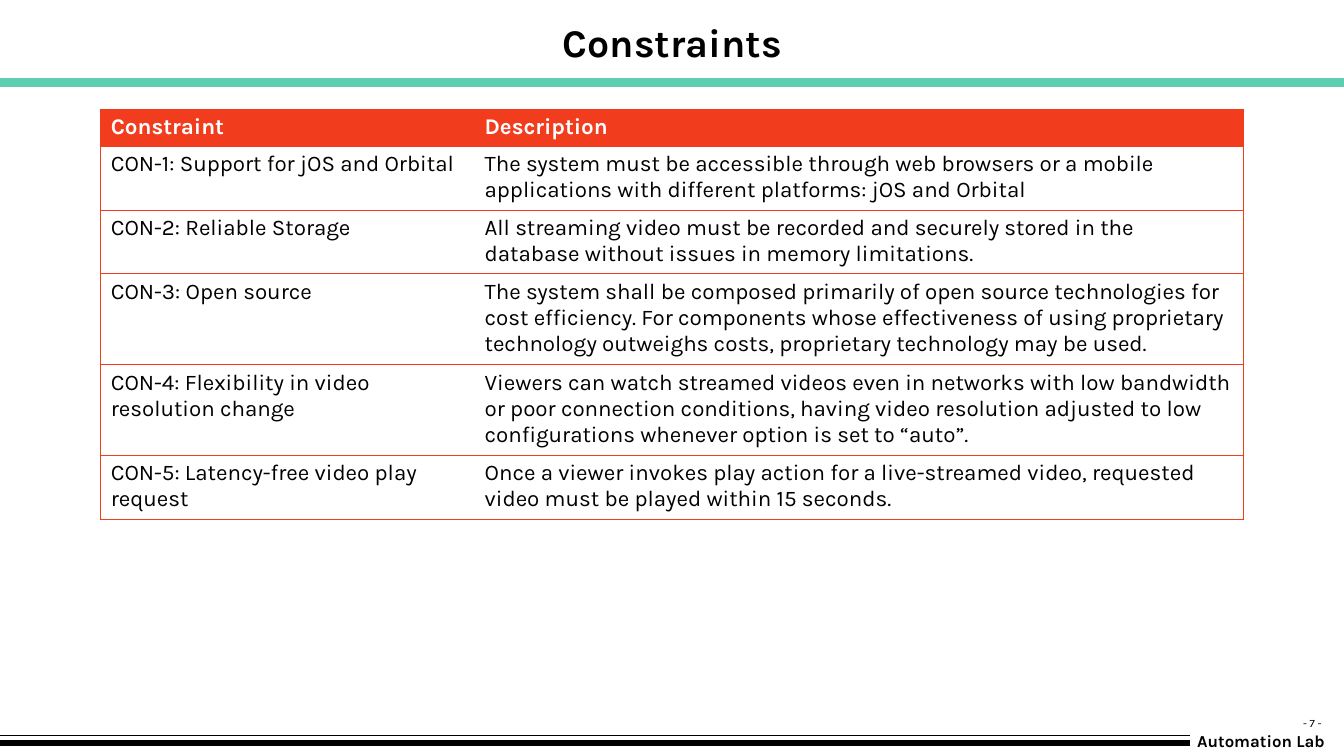
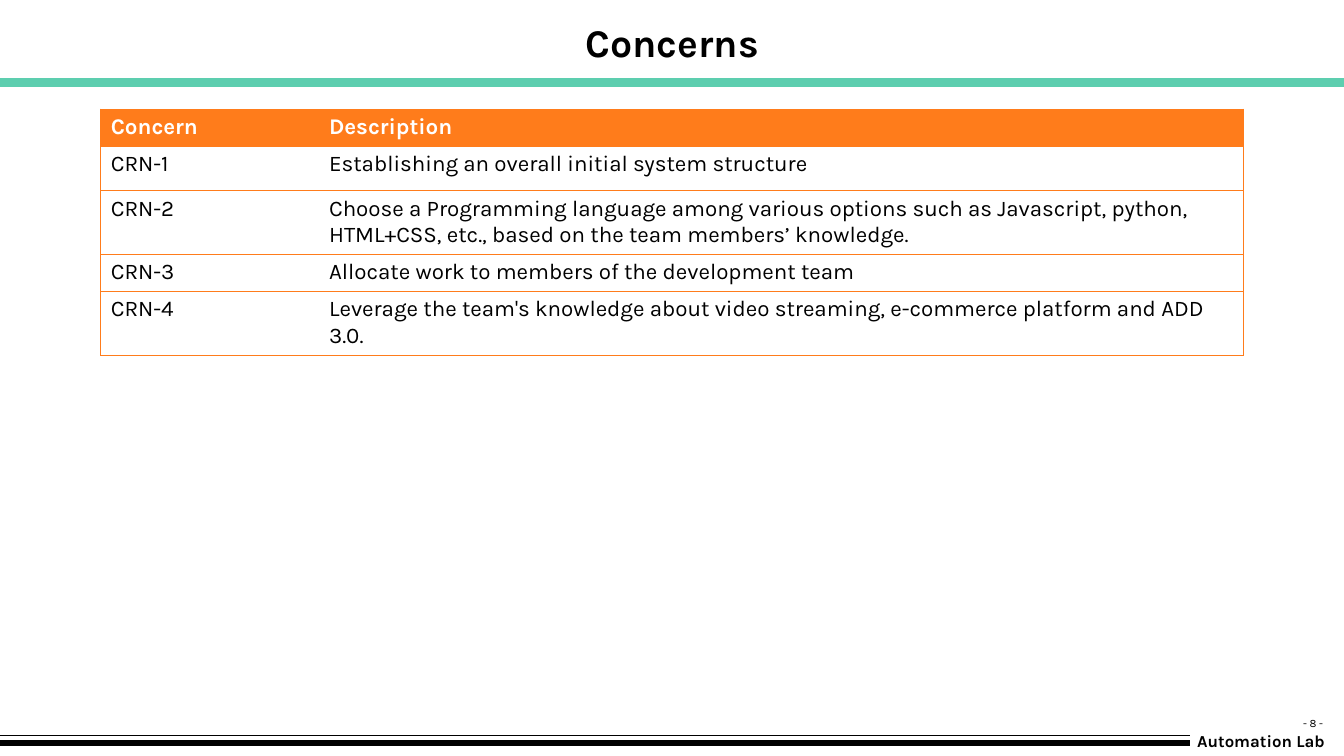
from lxml import etree
from pptx import Presentation
from pptx.dml.color import RGBColor
from pptx.enum.shapes import MSO_CONNECTOR
from pptx.enum.text import MSO_ANCHOR, PP_ALIGN
from pptx.oxml.ns import qn
from pptx.util import Cm, Pt

STRAIGHT = MSO_CONNECTOR.STRAIGHT
LEFT, CENTER = PP_ALIGN.LEFT, PP_ALIGN.CENTER
TOP, MIDDLE = MSO_ANCHOR.TOP, MSO_ANCHOR.MIDDLE

COLORS = {
    "ink": "000000",
    "paper": "FFFFFF",
    "band": "5DCEAF",
    "constraint": "F13C1E",
    "concern": "FF7C1B",
}
FONTS = {
    "title": {"name": "Karla", "size": Pt(28), "bold": True},
    "header": {"name": "Karla", "size": Pt(16), "bold": True},
    "body": {"name": "Karla", "size": Pt(16), "bold": False},
    "brand": {"name": "Karla", "size": Pt(12), "bold": True},
    "page": {"name": "Karla", "size": Pt(8), "bold": False},
}
SLIDE_WIDTH, SLIDE_HEIGHT = 33.87, 19.05
TABLE_LEFT, TABLE_TOP, TABLE_WIDTH = 2.54, 2.75, 28.79
LINE_HEIGHT, CELL_MARGINS = 0.66, 0.25
FOOTER_RULE_END = 30
BORDER_WIDTH = Pt(0.75)

CONSTRAINTS = [
    ("Constraint", "Description", 1),
    ("CON-1: Support for jOS and Orbital",
     "The system must be accessible through web browsers or a mobile "
     "applications with different platforms: jOS and Orbital", 2),
    ("CON-2: Reliable Storage",
     "All streaming video must be recorded and securely stored in the "
     "database without issues in memory limitations.", 2),
    ("CON-3: Open source",
     "The system shall be composed primarily of open source technologies for "
     "cost efficiency. For components whose effectiveness of using proprietary "
     "technology outweighs costs, proprietary technology may be used.", 3),
    ("CON-4: Flexibility in video resolution change",
     "Viewers can watch streamed videos even in networks with low bandwidth "
     "or poor connection conditions, having video resolution adjusted to low "
     "configurations whenever option is set to “auto”.", 3),
    ("CON-5: Latency-free video play request",
     "Once a viewer invokes play action for a live-streamed video, requested "
     "video must be played within 15 seconds.", 2),
]
CONCERNS = [
    ("Concern", "Description", 1),
    ("CRN-1", "Establishing an overall initial system structure", 1.32),
    ("CRN-2",
     "Choose a Programming language among various options such as Javascript, "
     "python, HTML+CSS, etc., based on the team members’ knowledge.", 2),
    ("CRN-3", "Allocate work to members of the development team", 1),
    ("CRN-4",
     "Leverage the team's knowledge about video streaming, e-commerce "
     "platform and ADD 3.0.", 2),
]


class Deck:
    def __init__(self):
        self.presentation = Presentation()
        self.presentation.slide_width = Cm(SLIDE_WIDTH)
        self.presentation.slide_height = Cm(SLIDE_HEIGHT)
        self.slide = None

    def color(self, name):
        return RGBColor.from_string(COLORS[name])

    def fill_text(self, frame, text, role, color="ink", align=LEFT):
        paragraph = frame.paragraphs[0]
        paragraph.alignment = align
        run = paragraph.add_run()
        run.text = text
        for attribute, value in FONTS[role].items():
            setattr(run.font, attribute, value)
        run.font.color.rgb = self.color(color)

    def text(self, box, text, role, align=LEFT, anchor=TOP, wrap=False):
        frame = self.slide.shapes.add_textbox(*map(Cm, box)).text_frame
        frame.word_wrap = wrap
        frame.vertical_anchor = anchor
        self.fill_text(frame, text, role, align=align)

    def rule(self, top, end, color, width):
        rule = self.slide.shapes.add_connector(
            STRAIGHT, Cm(0), Cm(top), Cm(end), Cm(top))
        rule.line.color.rgb = self.color(color)
        rule.line.width = Pt(width)
        etree.SubElement(rule._element.spPr, qn("a:effectLst"))

    def page(self, title, number):
        layout = self.presentation.slide_layouts[6]
        self.slide = self.presentation.slides.add_slide(layout)
        self.text((32.59, 17.93, 1.24, 0.61), f"- {number} -", "page")
        self.text((29.92, 18.29, 3.76, 0.76), "Automation Lab", "brand")
        self.rule(2.08, SLIDE_WIDTH, "band", 6)
        self.rule(18.72, FOOTER_RULE_END, "ink", 4.5)
        self.rule(18.54, FOOTER_RULE_END, "ink", 0.75)
        self.text((0.94, 0.25, 32, 1.6), title, "title", CENTER, MIDDLE, True)

    def borders(self, cell, visible, color):
        properties = cell._tc.get_or_add_tcPr()
        for side in "LRTB":
            line = etree.SubElement(
                properties, qn(f"a:ln{side}"), w=str(BORDER_WIDTH))
            if side in visible:
                fill = etree.SubElement(line, qn("a:solidFill"))
                etree.SubElement(fill, qn("a:srgbClr"), val=COLORS[color])
            else:
                etree.SubElement(line, qn("a:noFill"))

    def table(self, rows, label_width, accent):
        heights = [lines * LINE_HEIGHT + CELL_MARGINS for *_, lines in rows]
        table = self.slide.shapes.add_table(
            len(rows), 2, Cm(TABLE_LEFT), Cm(TABLE_TOP),
            Cm(TABLE_WIDTH), Cm(sum(heights))).table
        table.horz_banding = False
        for column, width in zip(
                table.columns, (label_width, TABLE_WIDTH - label_width)):
            column.width = Cm(width)
        for index, (row, height) in enumerate(zip(rows, heights)):
            table.rows[index].height = Cm(height)
            for column, outer_side in enumerate("LR"):
                cell = table.cell(index, column)
                self.borders(cell, outer_side + "TB", accent)
                if index == 0:
                    cell.fill.solid()
                    cell.fill.fore_color.rgb = self.color(accent)
                    self.fill_text(
                        cell.text_frame, row[column], "header", "paper")
                else:
                    cell.fill.background()
                    self.fill_text(cell.text_frame, row[column], "body")


def main():
    deck = Deck()
    deck.page("Constraints", 7)
    deck.table(CONSTRAINTS, 9.42, "constraint")
    deck.page("Concerns", 8)
    deck.table(CONCERNS, 5.5, "concern")
    deck.presentation.save("out.pptx")


if __name__ == "__main__":
    main()
